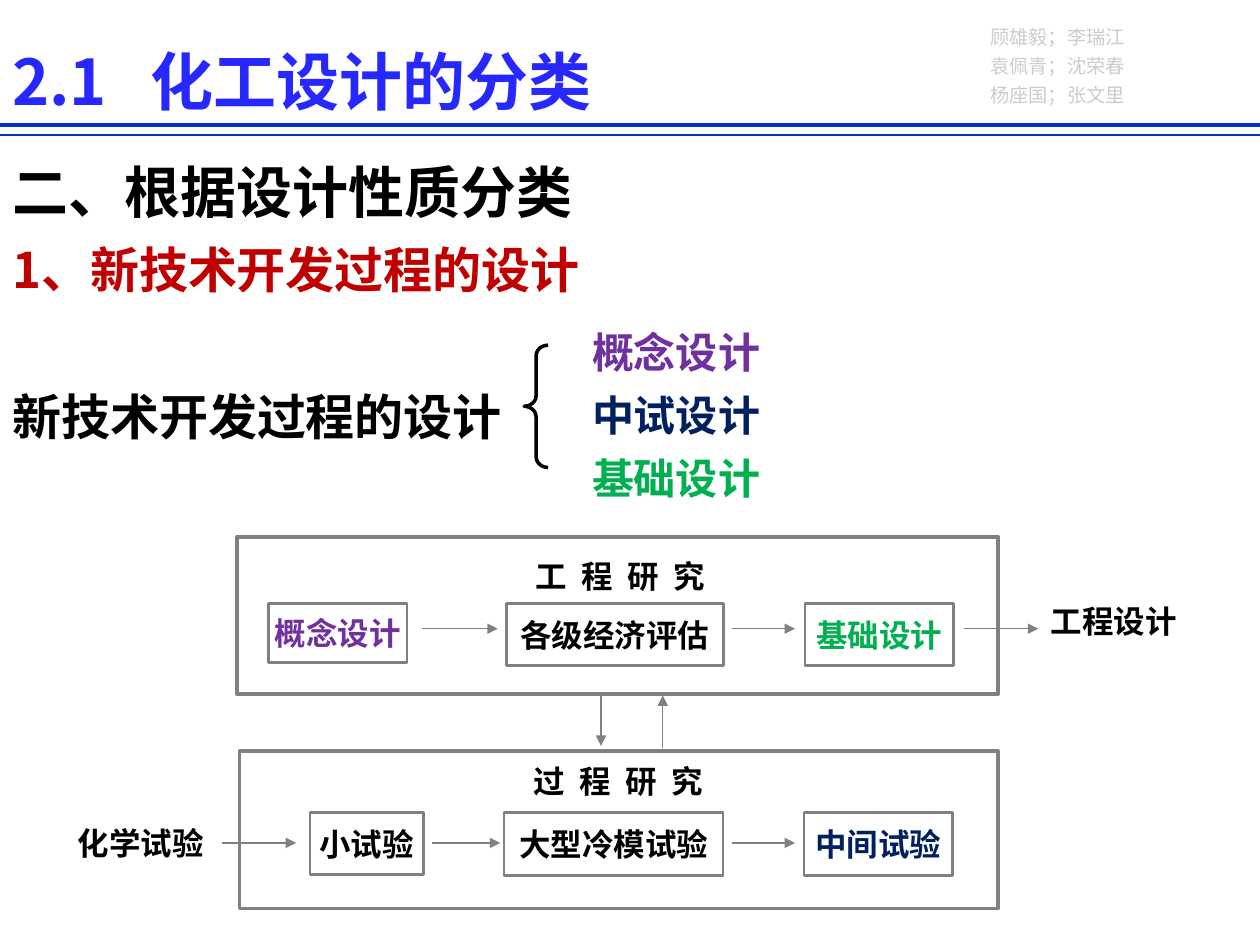
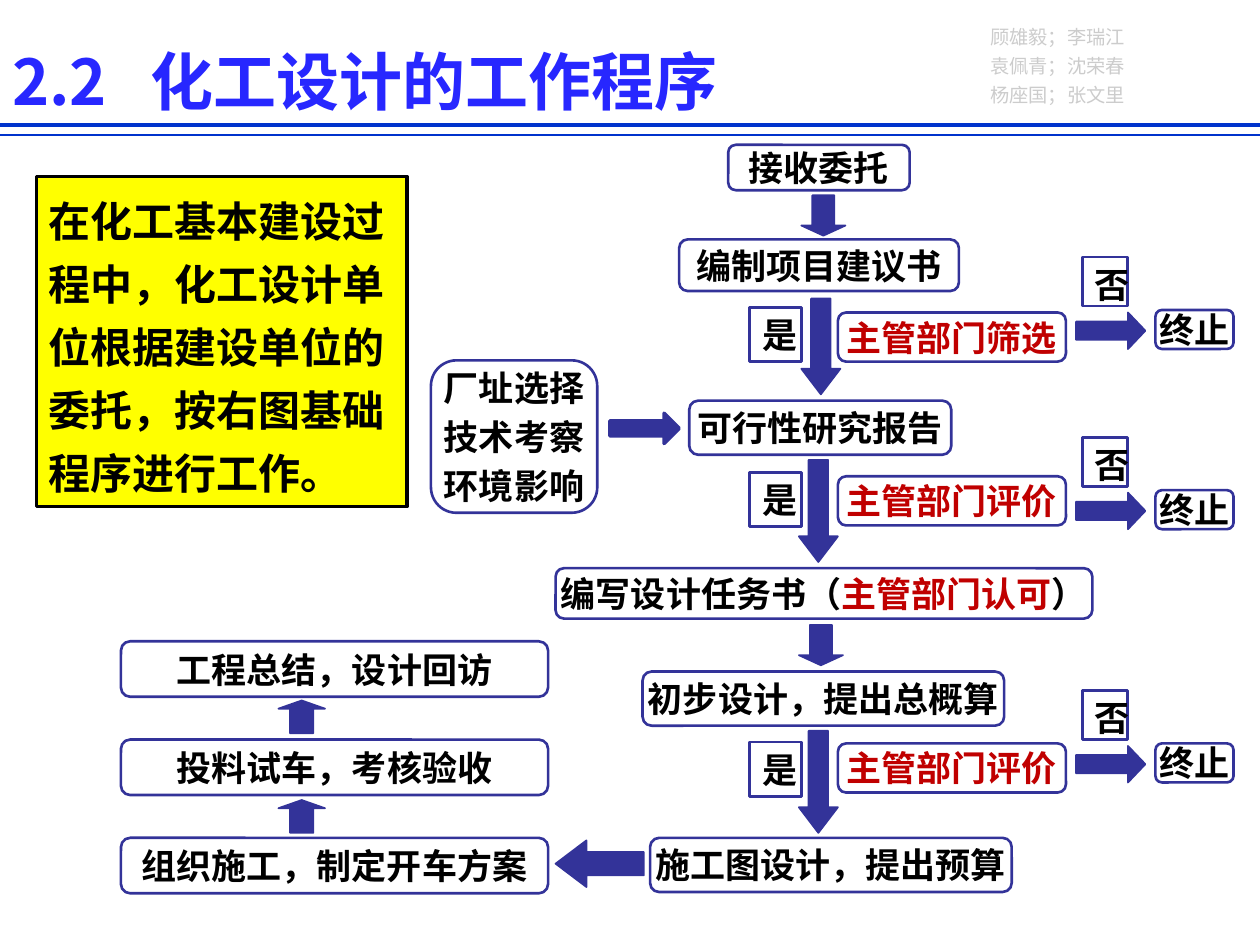
from dataclasses import dataclass
from typing import Any

from lxml import etree
from pptx import Presentation, util as u
from pptx.dml import color as dml
from pptx.enum import shapes, text
from pptx.oxml import ns

FONT = "Noto Sans CJK SC"
COLORS = {
    "title": "2727FF", "rule": "0033CC", "authors": "CCCCCC", "black": "000000",
    "red": "C00000", "purple": "7030A0", "navy": "002060", "green": "00B050",
    "gray": "808080", "flow": "333399", "yellow": "FFFF00",
}
KIND = shapes.MSO_SHAPE
LEFT, CENTER = text.PP_ALIGN.LEFT, text.PP_ALIGN.CENTER
TOP, MIDDLE = text.MSO_ANCHOR.TOP, text.MSO_ANCHOR.MIDDLE
TITLE_TAB = 1.1


@dataclass
class Run:
    words: str
    color: str = "black"
    size: float = 20
    bold: bool = True
    tracking: float = 0


@dataclass
class Paragraph:
    runs: list[Run]
    line_spacing: float = 1.0
    space_before: float = 0


@dataclass
class Box:
    left: float
    top: float
    width: float
    height: float

    def lengths(self) -> list[u.Length]:
        return [u.Inches(n) for n in (self.left, self.top, self.width, self.height)]


@dataclass
class Step:
    """A rounded step of the work procedure."""
    box: Box
    runs: list[Run]


@dataclass
class BlockArrow:
    kind: Any
    box: Box
    adjustments: tuple[float, ...]
    line_width: float = 1


@dataclass
class Review:
    """A decision with its yes arrow downwards and its no branch to the right."""
    label: str
    down: Box
    yes_top: float
    label_top: float
    stop_top: float


@dataclass
class Stage:
    """A labelled box of the research diagram."""
    box: Box
    label: str
    color: str = "black"


@dataclass
class Line:
    start: tuple[float, float]
    end: tuple[float, float]


def apply(target: Any, values: dict[str, Any]) -> None:
    for name, value in values.items():
        setattr(target, name, value)


def rgb(name: str) -> dml.RGBColor:
    return dml.RGBColor.from_string(COLORS[name])


def write(frame: Any, paragraphs: list[Paragraph], align: Any = LEFT, **layout: Any) -> None:
    apply(frame, {"word_wrap": True, "vertical_anchor": TOP, **layout})
    for index, content in enumerate(paragraphs):
        paragraph = frame.paragraphs[0] if index == 0 else frame.add_paragraph()
        apply(paragraph, {
            "alignment": align,
            "line_spacing": content.line_spacing,
            "space_before": u.Pt(content.space_before),
        })
        for item in content.runs:
            run = paragraph.add_run()
            run.text = item.words
            apply(run.font, {"name": FONT, "size": u.Pt(item.size), "bold": item.bold})
            run.font.color.rgb = rgb(item.color)
            properties = run.font._element
            etree.SubElement(properties, ns.qn("a:ea"), typeface=FONT)
            if item.tracking:
                properties.set("spc", str(round(item.tracking * 100)))


def add_text(slide: Any, box: Box, paragraphs: list[Paragraph], align: Any = LEFT) -> Any:
    shape = slide.shapes.add_textbox(*box.lengths())
    write(shape.text_frame, paragraphs, align)
    return shape


def add_shape(slide: Any, kind: Any, box: Box, line: str, width: float,
              fill: str | None = None, adjustments: tuple[float, ...] = ()) -> Any:
    shape = slide.shapes.add_shape(kind, *box.lengths())
    shape.shadow.inherit = False
    if fill:
        shape.fill.solid()
        shape.fill.fore_color.rgb = rgb(fill)
    else:
        shape.fill.background()
    shape.line.color.rgb = rgb(line)
    shape.line.width = u.Pt(width)
    for index, value in enumerate(adjustments):
        shape.adjustments[index] = value
    return shape


def add_line(slide: Any, line: Line, color: str, width: float, arrow: bool = False) -> None:
    points = [u.Inches(n) for n in (*line.start, *line.end)]
    connector = slide.shapes.add_connector(shapes.MSO_CONNECTOR.STRAIGHT, *points)
    connector.line.color.rgb = rgb(color)
    connector.line.width = u.Pt(width)
    if arrow:
        etree.SubElement(connector.line._get_or_add_ln(), ns.qn("a:tailEnd"), type="triangle")
    etree.SubElement(connector._element.spPr, ns.qn("a:effectLst"))


def add_page(presentation: Any, number: str, title: str) -> Any:
    slide = presentation.slides.add_slide(presentation.slide_layouts[6])
    authors = ["顾雄毅；李瑞江", "袁佩青；沈荣春", "杨座国；张文里"]
    add_text(slide, Box(7.76, 0.11, 1.42, 0.77),
             [Paragraph([Run(pair, "authors", 11, False)], 1.25) for pair in authors])
    for top, width in ((0.99, 2.25), (1.07, 1)):
        add_line(slide, Line((0, top), (10, top)), "rule", width)
    heading = add_text(slide, Box(0, 0.29, 10, 0.71),
                       [Paragraph([Run(f"{number}\t{title}", "title", 36)])])
    properties = heading.text_frame.paragraphs[0]._p.get_or_add_pPr()
    tabs = etree.SubElement(properties, ns.qn("a:tabLst"))
    etree.SubElement(tabs, ns.qn("a:tab"), pos=str(u.Inches(TITLE_TAB)), algn="l")
    return slide


def add_stage(slide: Any, stage: Stage) -> None:
    shape = add_shape(slide, KIND.RECTANGLE, stage.box, "gray", 1.5)
    write(shape.text_frame, [Paragraph([Run(stage.label, stage.color, 18)])], CENTER,
          vertical_anchor=MIDDLE, word_wrap=False)


def add_step(slide: Any, box: Box, paragraphs: list[Paragraph]) -> None:
    shape = add_shape(slide, KIND.ROUNDED_RECTANGLE, box, "flow", 1.5, adjustments=(0.167,))
    write(shape.text_frame, paragraphs, CENTER, vertical_anchor=MIDDLE, word_wrap=False)


def add_block_arrow(slide: Any, arrow: BlockArrow) -> None:
    add_shape(slide, arrow.kind, arrow.box, "flow", arrow.line_width, "flow", arrow.adjustments)


def add_answer(slide: Any, box: Box, answer: str) -> None:
    shape = add_shape(slide, KIND.RECTANGLE, box, "flow", 1.5)
    write(shape.text_frame, [Paragraph([Run(answer)])])


def add_review(slide: Any, review: Review) -> None:
    add_block_arrow(slide, BlockArrow(KIND.DOWN_ARROW, review.down, (0.5, 0.655)))
    add_answer(slide, Box(5.95, review.yes_top, 0.41, 0.43), "是")
    add_step(slide, Box(6.65, review.label_top, 1.81, 0.39),
             [Paragraph([Run(review.label, "red")])])
    add_block_arrow(slide, BlockArrow(
        KIND.RIGHT_ARROW, Box(8.54, review.stop_top, 0.55, 0.29), (0.5, 0.475)))
    add_answer(slide, Box(8.59, review.stop_top - 0.44, 0.36, 0.39), "否")
    add_step(slide, Box(9.17, review.stop_top - 0.02, 0.62, 0.31), [Paragraph([Run("终止")])])


def build_classification(presentation: Any) -> None:
    slide = add_page(presentation, "2.1", "化工设计的分类")
    add_text(slide, Box(0, 1.07, 9.88, 2.49), [
        Paragraph([Run("二、根据设计性质分类", size=32)], 1.25),
        Paragraph([Run("1、新技术开发过程的设计", "red", 28)], 1.25),
        Paragraph([Run("新技术开发过程的设计", size=28)], 1.25, 42),
    ])
    designs = [("概念设计", "purple"), ("中试设计", "navy"), ("基础设计", "green")]
    add_text(slide, Box(4.6, 2.44, 2.09, 1.57),
             [Paragraph([Run(name, color, 24)], 1.25) for name, color in designs])
    add_shape(slide, KIND.LEFT_BRACE, Box(4.16, 2.74, 0.19, 0.97), "black", 2,
              adjustments=(0.438, 0.5))

    research = [
        (Box(1.88, 4.26, 6.04, 1.25), "工程研究", Box(4.03, 4.37, 1.79, 0.4)),
        (Box(1.9, 5.96, 6.02, 1.25), "过程研究", Box(4.01, 6, 1.79, 0.4)),
    ]
    for frame, name, name_box in research:
        add_shape(slide, KIND.RECTANGLE, frame, "gray", 2)
        add_text(slide, name_box, [Paragraph([Run(name, size=18, tracking=8.3)])], CENTER)

    stages = [
        Stage(Box(2.13, 4.79, 1.1, 0.47), "概念设计", "purple"),
        Stage(Box(4.02, 4.79, 1.72, 0.49), "各级经济评估"),
        Stage(Box(6.39, 4.79, 1.18, 0.49), "基础设计", "green"),
        Stage(Box(2.46, 6.45, 0.9, 0.49), "小试验"),
        Stage(Box(4, 6.45, 1.74, 0.5), "大型冷模试验"),
        Stage(Box(6.38, 6.45, 1.18, 0.5), "中间试验", "navy"),
    ]
    for stage in stages:
        add_stage(slide, stage)
    for left, top, label in ((8.24, 4.73, "工程设计"), (0.52, 6.49, "化学试验")):
        add_text(slide, Box(left, top, 1.24, 0.4), [Paragraph([Run(label, size=18)])])

    spans = {
        4.99: [(3.35, 3.95), (5.81, 6.31), (7.65, 8.24)],
        6.69: [(1.76, 2.35), (3.43, 3.97), (5.81, 6.31)],
    }
    arrows = [Line((start, y), (end, y)) for y, row in spans.items() for start, end in row]
    arrows += [Line((4.77, 5.52), (4.77, 5.92)), Line((5.26, 5.94), (5.26, 5.52))]
    for arrow in arrows:
        add_line(slide, arrow, "gray", 0.75, arrow=True)


def build_procedure(presentation: Any) -> None:
    slide = add_page(presentation, "2.2", "化工设计的工作程序")
    summary = add_shape(slide, KIND.RECTANGLE, Box(0.29, 1.4, 2.94, 2.62), "black", 2, "yellow")
    write(summary.text_frame, [Paragraph([Run(
        "在化工基本建设过程中，化工设计单位根据建设单位的委托，按右图基础程序进行工作。",
        size=24)], 1.25)])

    steps = [
        Step(Box(5.78, 1.15, 1.44, 0.36), [Run("接收委托")]),
        Step(Box(5.39, 1.9, 2.22, 0.41), [Run("编制项目建议书")]),
        Step(Box(5.47, 3.18, 2.08, 0.43), [Run("可行性研究报告")]),
        Step(Box(4.41, 4.51, 4.26, 0.4),
             [Run("编写设计任务书（"), Run("主管部门认可", "red"), Run("）")]),
        Step(Box(5.1, 5.33, 2.87, 0.43), [Run("初步设计，提出总概算")]),
        Step(Box(5.16, 6.65, 2.87, 0.43), [Run("施工图设计，提出预算")]),
    ]
    closing = ["工程总结，设计回访", "投料试车，考核验收", "组织施工，制定开车方案"]
    steps += [Step(Box(0.96, 5.09 + 0.78 * row, 3.39, 0.44), [Run(label)])
              for row, label in enumerate(closing)]
    for step in steps:
        add_step(slide, step.box, [Paragraph(step.runs)])
    studies = ["厂址选择", "技术考察", "环境影响"]
    add_step(slide, Box(3.42, 2.86, 1.32, 1.21),
             [Paragraph([Run(study)], space_before=4 if row else 0)
              for row, study in enumerate(studies)])

    arrows = [
        BlockArrow(KIND.DOWN_ARROW, Box(6.36, 1.55, 0.35, 0.32), (0.5, 0.25)),
        BlockArrow(KIND.DOWN_ARROW, Box(6.34, 4.96, 0.35, 0.32), (0.5, 0.25)),
        BlockArrow(KIND.RIGHT_ARROW, Box(4.84, 3.28, 0.55, 0.24), (0.5, 0.5), 2),
        BlockArrow(KIND.LEFT_ARROW, Box(4.41, 6.67, 0.7, 0.37), (0.5, 0.662)),
    ]
    arrows += [BlockArrow(KIND.UP_ARROW, Box(2.21, top, 0.37, 0.26), (0.5, 0.25))
               for top in (5.56, 6.35)]
    for arrow in arrows:
        add_block_arrow(slide, arrow)

    reviews = [
        Review("主管部门筛选", Box(6.36, 2.37, 0.31, 0.76), 2.44, 2.48, 2.48),
        Review("主管部门评价", Box(6.34, 3.65, 0.31, 0.81), 3.75, 3.78, 3.91),
        Review("主管部门评价", Box(6.34, 5.8, 0.31, 0.81), 5.89, 5.9, 5.92),
    ]
    for review in reviews:
        add_review(slide, review)


def main() -> None:
    presentation = Presentation()
    apply(presentation, {"slide_width": u.Inches(10), "slide_height": u.Inches(7.5)})
    build_classification(presentation)
    build_procedure(presentation)
    presentation.save("out.pptx")


if __name__ == "__main__":
    main()
